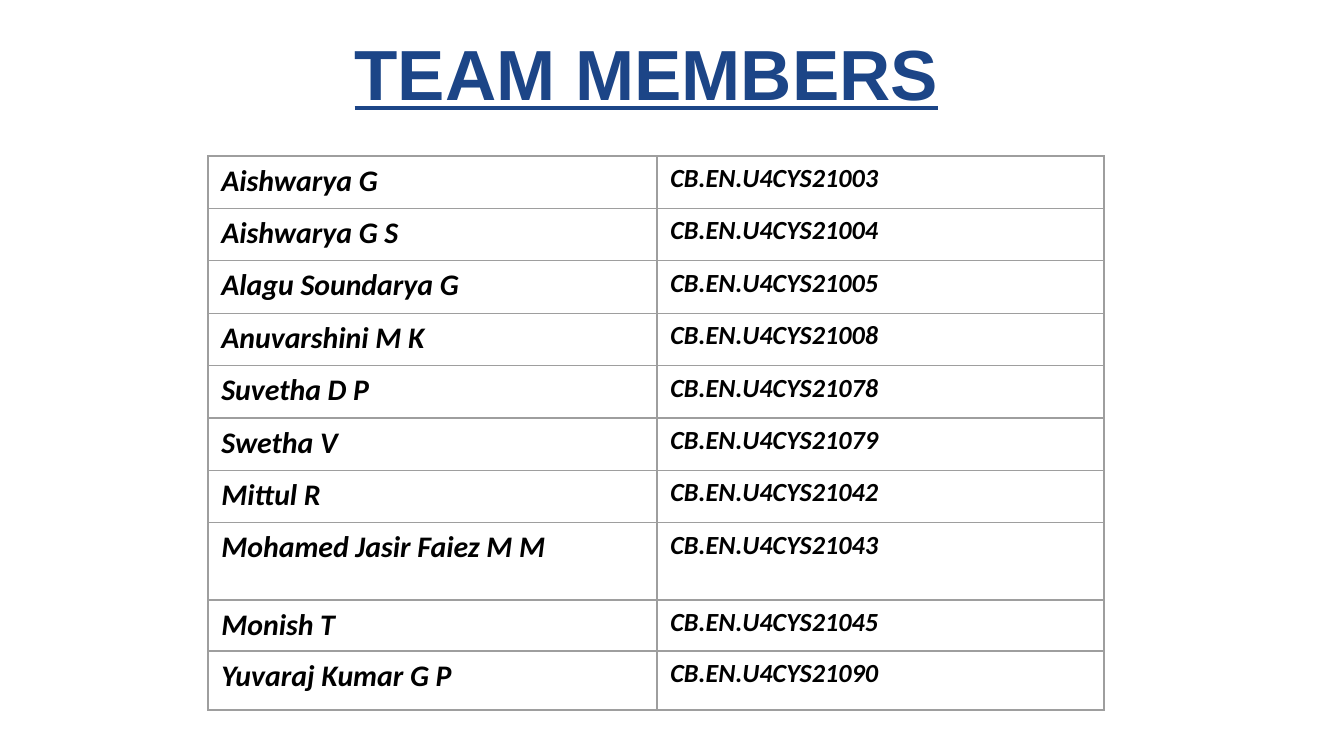
from lxml import etree
from pptx import Presentation
from pptx import util as u
from pptx.dml.color import RGBColor
from pptx.enum import text
from pptx.oxml.ns import qn

PX = 914400 / 134.4  # EMU per px
NAVY = RGBColor(0x1C, 0x45, 0x87)
BLACK = RGBColor(0, 0, 0)
WHITE = RGBColor(0xFF, 0xFF, 0xFF)
BORDER_GREY = RGBColor(0x9E, 0x9E, 0x9E)

TABLE_LEFT = 208
COLUMN_WIDTHS = (449, 447)
COLUMN_SIZES = (16, 14)

# Name, roll number
MEMBERS = [
    ("Aishwarya G", "CB.EN.U4CYS21003"),
    ("Aishwarya G S", "CB.EN.U4CYS21004"),
    ("Alagu Soundarya G", "CB.EN.U4CYS21005"),
    ("Anuvarshini M K", "CB.EN.U4CYS21008"),
    ("Suvetha D P", "CB.EN.U4CYS21078"),
    ("Swetha V", "CB.EN.U4CYS21079"),
    ("Mittul R", "CB.EN.U4CYS21042"),
    ("Mohamed Jasir Faiez M M", "CB.EN.U4CYS21043"),
]
MORE_MEMBERS = [
    ("Monish T", "CB.EN.U4CYS21045"),
    ("Yuvaraj Kumar G P", "CB.EN.U4CYS21090"),
]


def px(length):
    return u.Emu(round(length * PX))


def style_font(font, name, size, color):
    font.name = name
    font.size = u.Pt(size)
    font.bold = True
    font.color.rgb = color


def add_title(slide, wording):
    title = slide.shapes.add_textbox(px(142), px(20), px(978), px(71))
    frame = title.text_frame
    frame.word_wrap = True
    frame.vertical_anchor = text.MSO_ANCHOR.MIDDLE
    frame.margin_left = frame.margin_right = 0
    frame.margin_top = frame.margin_bottom = 0
    paragraph = frame.paragraphs[0]
    paragraph.alignment = text.PP_ALIGN.CENTER
    # The tall leading space sets the line height
    for part, size, underlined in ((" ", 60, False), (wording, 38, True)):
        run = paragraph.add_run()
        run.text = part
        style_font(run.font, "Arial", size, NAVY)
        run.font.underline = underlined


def add_borders(cell):
    properties = cell._tc.get_or_add_tcPr()
    for position, side in enumerate(("a:lnL", "a:lnR", "a:lnT", "a:lnB")):
        line = etree.Element(qn(side), w=str(u.Pt(0.75)))
        fill = etree.SubElement(line, qn("a:solidFill"))
        etree.SubElement(fill, qn("a:srgbClr"), val=str(BORDER_GREY))
        properties.insert(position, line)


def add_member_table(slide, top, members, row_heights, filled):
    table = slide.shapes.add_table(
        len(members), len(COLUMN_WIDTHS), px(TABLE_LEFT), px(top),
        px(sum(COLUMN_WIDTHS)), px(sum(row_heights))).table
    table.first_row = table.horz_banding = False
    for column, width in zip(table.columns, COLUMN_WIDTHS):
        column.width = px(width)
    for row, height, member in zip(table.rows, row_heights, members):
        row.height = px(height)
        for cell, wording, size in zip(row.cells, member, COLUMN_SIZES):
            cell.text = wording
            font = cell.text_frame.paragraphs[0].font
            style_font(font, "Calibri", size, BLACK)
            font.italic = True
            if filled:
                cell.fill.solid()
                cell.fill.fore_color.rgb = WHITE
            else:
                cell.fill.background()
            add_borders(cell)


def main():
    deck = Presentation()
    deck.slide_width, deck.slide_height = px(1344), px(756)
    slide = deck.slides.add_slide(deck.slide_layouts[6])

    add_title(slide, "TEAM MEMBERS")

    # The second table continues right below the first
    add_member_table(slide, 156, MEMBERS, [52.4] * 7 + [77], filled=True)
    add_member_table(slide, 600, MORE_MEMBERS, [51, 59], filled=False)

    deck.save("out.pptx")


if __name__ == "__main__":
    main()
